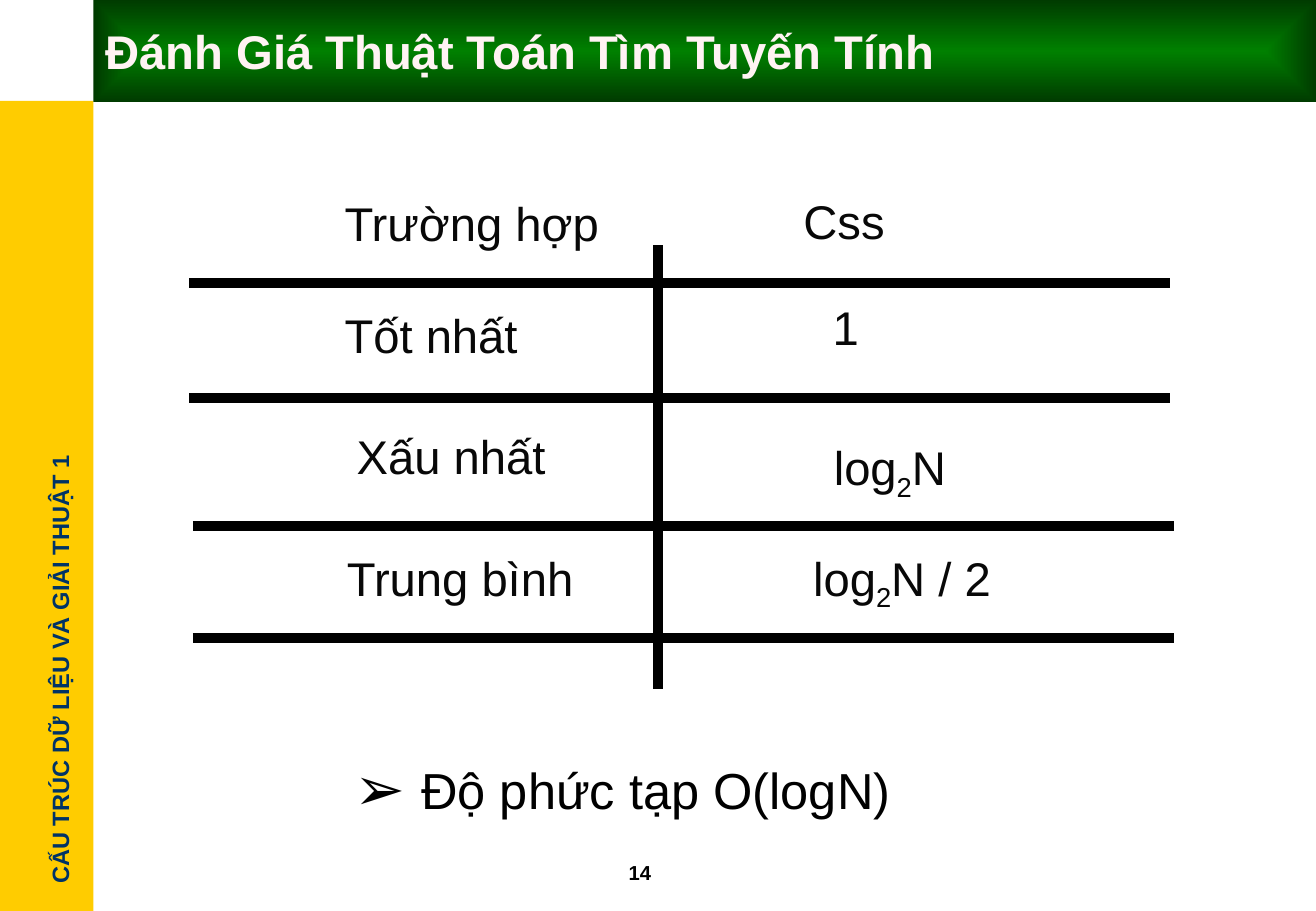
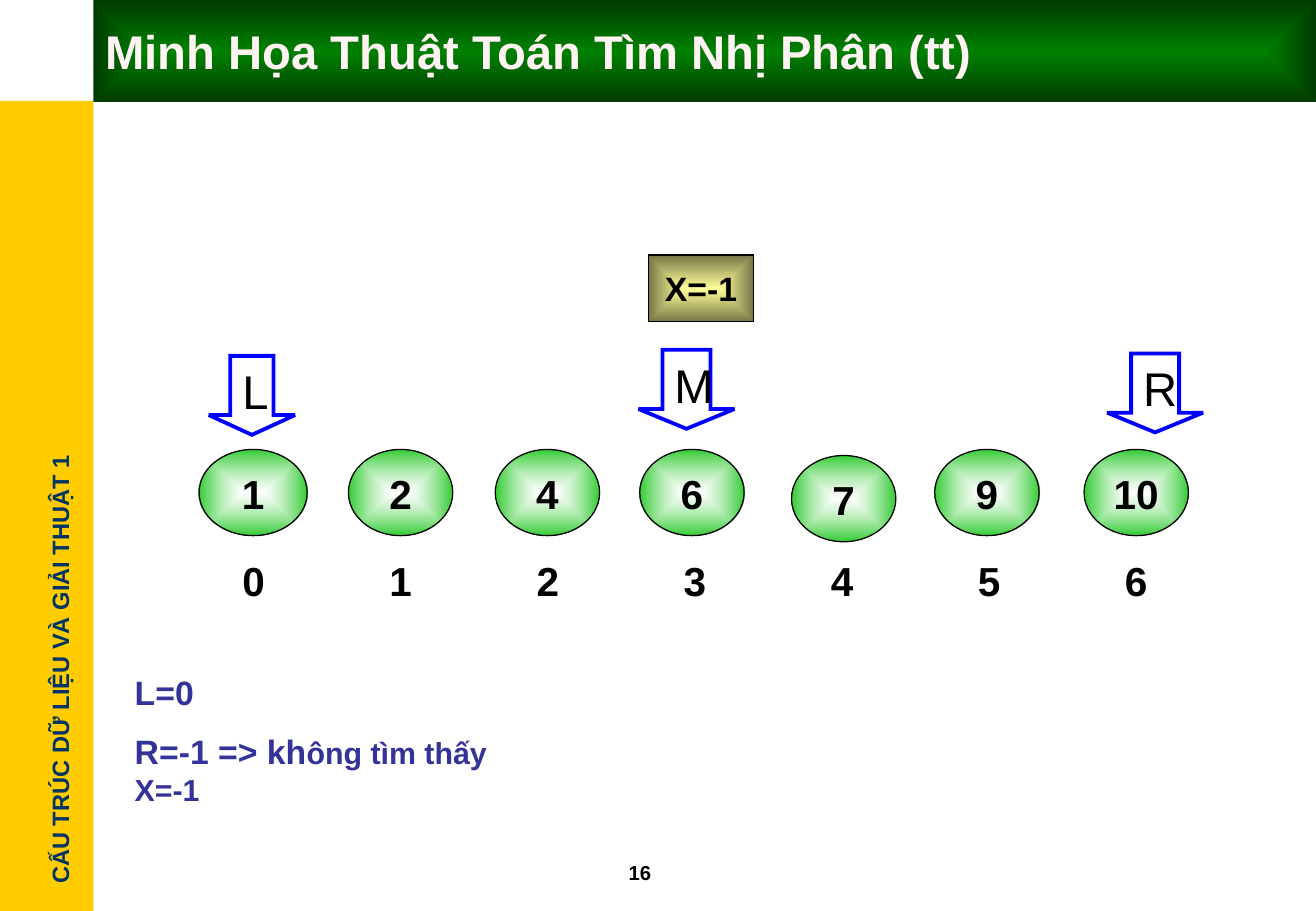
from dataclasses import dataclass

from lxml import etree
from pptx import Presentation
from pptx.dml.color import RGBColor
from pptx.enum.shapes import MSO_CONNECTOR, MSO_SHAPE
from pptx.enum.text import MSO_ANCHOR, MSO_AUTO_SIZE, PP_ALIGN
from pptx.oxml import parse_xml
from pptx.oxml.ns import nsdecls, qn
from pptx.util import Inches, Pt

RECT, OVAL, DOWN = MSO_SHAPE.RECTANGLE, MSO_SHAPE.OVAL, MSO_SHAPE.DOWN_ARROW
TOP, MID = MSO_ANCHOR.TOP, MSO_ANCHOR.MIDDLE
LEFT, MIDST = PP_ALIGN.LEFT, PP_ALIGN.CENTER
FIXED = MSO_AUTO_SIZE.NONE
LINE = MSO_CONNECTOR.STRAIGHT


@dataclass(frozen=True)
class Theme:
    font: str = "Arial"
    black: str = "000000"
    cell: str = "080808"
    side: str = "FFCC00"
    navy: str = "003366"
    head: str = "FFF3F3"
    note: str = "333399"
    arrow: str = "0000FF"
    # centre colour, edge colour, opacity of the centre in percent
    band: tuple = ("008000", "003B00", 100)
    node: tuple = ("FFFFFF", "33CC33", 60)
    key: tuple = ("FFFF99", "767647", 100)
    big: int = 28
    list: int = 30
    num: int = 24
    text: int = 20
    small: int = 18
    label: int = 14
    page: int = 12
    rule: int = 6
    thin: float = 0.75
    thick: float = 2.25


T = Theme()

# Content
COURSE = "CẤU TRÚC DỮ LIỆU VÀ GIẢI THUẬT 1"
COST = {
    "title": "Ðánh Giá Thuật Toán Tìm Tuyến Tính",
    "page": "14",
    # each entry: text parts (second one is a subscript), left, top, width
    "cells": [
        (["Trường hợp"], 2.74, 1.55, 2.31), (["Css"], 6.52, 1.53, 0.87),
        (["Tốt nhất"], 2.74, 2.47, 1.62), (["1"], 6.76, 2.41, 0.52),
        (["Xấu nhất"], 2.84, 3.47, 1.75), (["log", "2", "N"], 6.77, 3.56, 1.23),
        (["Trung bình"], 2.76, 4.47, 2.18), (["log", "2", "N / 2"], 6.6, 4.47, 1.66),
    ],
    # left and height of each row line
    "rules": [(1.56, 2.33), (1.56, 3.28), (1.59, 4.33), (1.59, 5.25)],
    "end": "Độ phức tạp O(logN)",
}
SEARCH = {
    "title": "Minh Họa Thuật Toán Tìm Nhị Phân (tt)",
    "page": "16",
    "key": "X=-1",
    # value, left, top, width
    "nodes": [
        ("1", 1.64, 3.7, 0.89), ("2", 2.87, 3.7, 0.86), ("4", 4.08, 3.7, 0.86),
        ("6", 5.27, 3.7, 0.86), ("7", 6.52, 3.75, 0.86), ("9", 7.7, 3.7, 0.86),
        ("10", 8.93, 3.7, 0.86),
    ],
    # name, left, top, width
    "marks": [("L", 1.72, 2.93, 0.71), ("M", 5.26, 2.88, 0.79), ("R", 9.12, 2.91, 0.79)],
    "notes": [
        [("L=0", T.text)],
        [("R=-1 => kh", T.text), ("ông tìm thấy X=-1", T.small)],
    ],
}
WIDE, HIGH = 10.84, 7.5
EDGE, BAND = 0.77, 0.83
SPAN = 8.08
FIRST, LAST = 1.66, 8.93


# Helpers
def put(obj, **vals):
    for name, val in vals.items():
        setattr(obj, name, val)


def box(*nums):
    return [Inches(n) for n in nums]


def place(shape, *nums):
    put(shape, **dict(zip(("left", "top", "width", "height"), box(*nums))))


def add_run(para, text, size, color, bold=False):
    run = para.add_run()
    run.text = text
    put(run.font, name=T.font, size=Pt(size), bold=bold)
    run.font.color.rgb = RGBColor.from_string(color)
    return run


def write(shape, text, size, color, bold=False, align=LEFT, **frame):
    put(shape.text_frame, auto_size=FIXED, **frame)
    para = shape.text_frame.paragraphs[0]
    para.alignment = align
    add_run(para, text, size, color, bold)


def glow(shape, tint):
    """Fill that runs from the centre to the edges."""
    core, rim, alpha = tint
    grad = parse_xml(
        f'<a:gradFill {nsdecls("a")} rotWithShape="1"><a:gsLst>'
        f'<a:gs pos="0"><a:srgbClr val="{core}"><a:alpha val="{alpha * 1000}"/></a:srgbClr></a:gs>'
        f'<a:gs pos="100000"><a:srgbClr val="{rim}"/></a:gs></a:gsLst>'
        '<a:path path="rect"><a:fillToRect l="50000" t="50000" r="50000" b="50000"/>'
        "</a:path></a:gradFill>")
    shape.fill.background()
    props = shape._element.spPr
    props.replace(props.find(qn("a:noFill")), grad)


def draw(slide, kind, spot, fill=None, line=None, width=T.thin):
    shape = slide.shapes.add_shape(kind, *box(*spot))
    shape.shadow.inherit = False
    if isinstance(fill, tuple):
        glow(shape, fill)
    elif fill:
        shape.fill.solid()
        shape.fill.fore_color.rgb = RGBColor.from_string(fill)
    else:
        shape.fill.background()
    if line:
        shape.line.color.rgb = RGBColor.from_string(line)
        shape.line.width = Pt(width)
        join = etree.SubElement(shape.line._get_or_add_ln(), qn("a:miter"))
        join.set("lim", "800000")
    else:
        shape.line.fill.background()
    return shape


def rule(slide, *ends):
    bar = slide.shapes.add_connector(LINE, *box(*ends))
    bar.line.color.rgb = RGBColor.from_string(T.black)
    bar.line.width = Pt(T.rule)
    etree.SubElement(bar._element.spPr, qn("a:effectLst"))


def bullet(para, mark=None, left=0):
    props = para._p.get_or_add_pPr()
    props.set("marL", str(Inches(left)))
    props.set("indent", str(-Inches(left)))
    if mark:
        etree.SubElement(props, qn("a:buSzPct")).set("val", "120000")
        etree.SubElement(props, qn("a:buFont")).set("typeface", T.font)
        etree.SubElement(props, qn("a:buChar")).set("char", mark)
    else:
        etree.SubElement(props, qn("a:buNone"))


# Shared parts
def frame(deck, layout, data):
    slide = deck.slides.add_slide(layout)
    title = slide.shapes.title
    place(title, EDGE, 0, WIDE - EDGE, BAND + 0.01)
    glow(title, T.band)
    write(title, data["title"], T.big, T.head, True, vertical_anchor=MID)
    page = slide.shapes.add_textbox(*box(5.08, 7.03, 0.83, 0.3))
    write(page, data["page"], T.page, T.black, True, word_wrap=True)
    return slide


def dress(layout, slide):
    """Move the side band and course name to the layout."""
    for old in list(layout.placeholders):
        if old.placeholder_format.idx > 1:
            old._element.getparent().remove(old._element)
    side = draw(slide, RECT, (0, BAND, EDGE, HIGH - BAND), T.side)
    name = slide.shapes.add_textbox(*box(-1.37, 5.34, 3.73, 0.34))
    name.rotation = 270
    write(name, COURSE, T.label, T.navy, True, word_wrap=False)
    for part in (side, name):
        layout.shapes._spTree.append(part._element)


# Slide: cost grid
def cost(slide, data):
    for x, y in data["rules"]:
        rule(slide, x, y, x + SPAN, y)
    rule(slide, 5.42, 2.02, 5.42, 5.67)
    for parts, x, y, wide in data["cells"]:
        cell = slide.shapes.add_textbox(*box(x, y, wide, 0.57))
        put(cell.text_frame, auto_size=FIXED, word_wrap=False)
        para = cell.text_frame.paragraphs[0]
        for i, part in enumerate(parts):
            run = add_run(para, part, T.big, T.cell)
            if i == 1:
                run.font._element.set("baseline", "-25000")

    # Conclusion
    body = slide.placeholders[1]
    place(body, 2.82, 6.2, 4.96, 0.7)
    write(body, data["end"], T.list, T.black, vertical_anchor=TOP)
    para = body.text_frame.paragraphs[0]
    para.space_before = Pt(0)
    bullet(para, "➢", 0.55)


# Slide: search steps
def search(slide, data):
    key = draw(slide, RECT, (5.34, 2.1, 0.87, 0.55), T.key, T.black)
    write(key, data["key"], T.text, T.black, True, MIDST,
          vertical_anchor=MID, word_wrap=False)

    # Values with their indexes
    nodes = data["nodes"]
    step = (LAST - FIRST) / (len(nodes) - 1)
    for i, (value, x, y, wide) in enumerate(nodes):
        node = draw(slide, OVAL, (x, y, wide, 0.71), T.node, T.black)
        index = draw(slide, OVAL, (FIRST + step * i, 4.42, 0.86, 0.71))
        for shape, text in ((node, value), (index, str(i))):
            write(shape, text, T.num, T.black, True, MIDST, vertical_anchor=MID,
                  word_wrap=True, margin_top=Inches(0.06))

    # Pointers
    for name, x, y, wide in data["marks"]:
        mark = draw(slide, DOWN, (x, y, wide, 0.65), None, T.arrow, T.thick)
        mark.adjustments[0], mark.adjustments[1] = 0.5, 0.25
        write(mark, name, T.big, T.black, vertical_anchor=TOP, word_wrap=True)

    # Result
    body = slide.placeholders[1]
    place(body, 1.01, 5.48, 3.5, 1.23)
    put(body.text_frame, auto_size=FIXED, vertical_anchor=TOP)
    for i, runs in enumerate(data["notes"]):
        para = body.text_frame.add_paragraph() if i else body.text_frame.paragraphs[0]
        para.space_before = Pt(11 if i else 0)
        bullet(para)
        for text, size in runs:
            add_run(para, text, size, T.note, True)


def main():
    deck = Presentation()
    put(deck, slide_width=Inches(WIDE), slide_height=Inches(HIGH))
    layout = deck.slide_layouts[1]
    first, second = [frame(deck, layout, data) for data in (COST, SEARCH)]
    dress(layout, first)
    cost(first, COST)
    search(second, SEARCH)
    deck.save("out.pptx")


if __name__ == "__main__":
    main()
